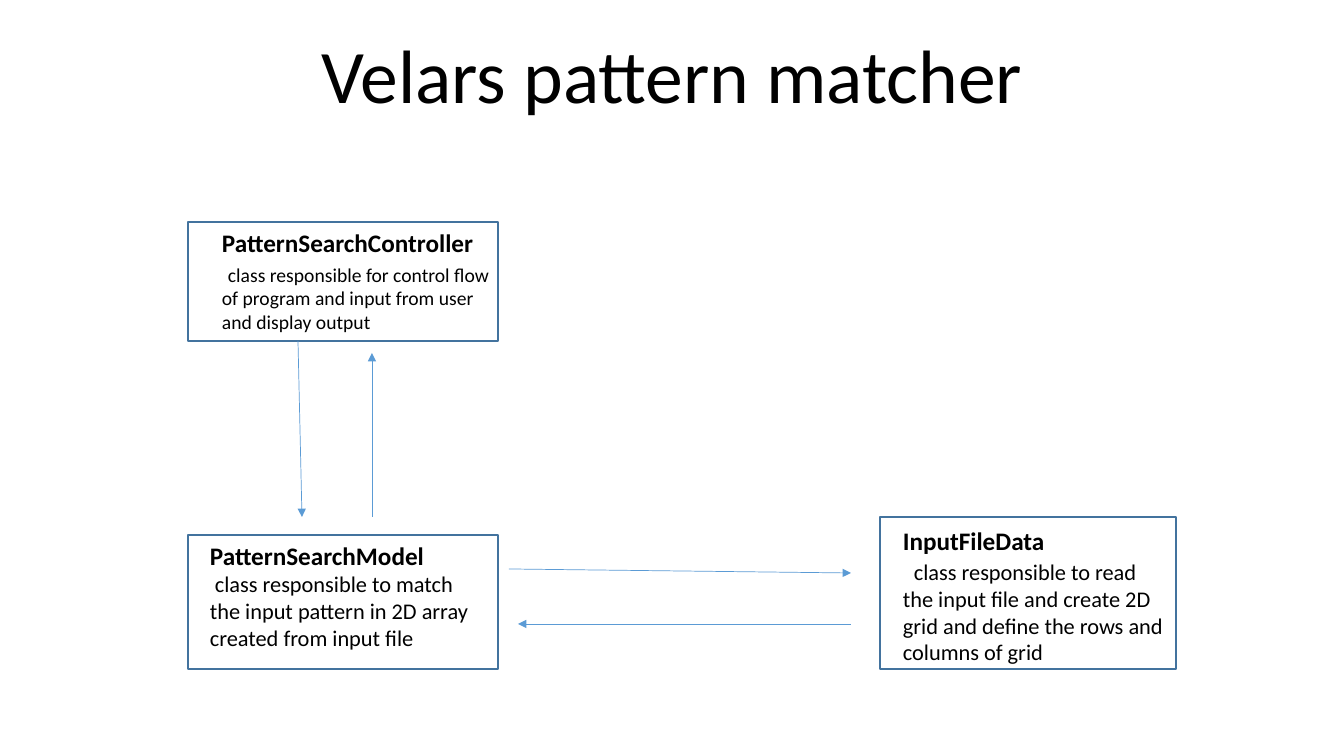
from dataclasses import dataclass

from lxml.etree import SubElement
from pptx import Presentation
from pptx.dml.color import RGBColor
from pptx.enum.shapes import MSO_CONNECTOR as Connector, MSO_SHAPE as Shape
from pptx.enum.text import MSO_ANCHOR as Anchor, MSO_AUTO_SIZE as AutoSize, PP_ALIGN as Align
from pptx.oxml.ns import qn
from pptx.util import Pt

EMU_PER_PIXEL = 914400 / 100.8


@dataclass(frozen=True)
class Theme:
    font: str = "Calibri"
    ink: RGBColor = RGBColor(0, 0, 0)
    frame: RGBColor = RGBColor(0x43, 0x73, 0x9E)
    arrow: RGBColor = RGBColor(0x5B, 0x9B, 0xD5)
    title_size: int = 54
    class_size: int = 18
    frame_width: float = 1
    arrow_width: float = 0.5


THEME = Theme()

# Class name, duty, duty size, first-line indent, label box, frame box
CLASSES = [
    ("PatternSearchController",
     "class responsible for control flow of program and input from user and display output",
     14, 6, (212, 222, 298, 119), (188, 222, 310, 119)),
    ("PatternSearchModel",
     "class responsible to match the input pattern in 2D array created from input file",
     16, 5, (200, 535, 287, 122), (188, 535, 310, 134)),
    ("InputFileData",
     "class responsible to read the input file and create 2D grid and define the rows "
     "and columns of grid",
     16, 11, (893, 520, 283, 152), (880, 517, 296, 152)),
]

# Start and end of each call between the classes
CALLS = [
    ((298, 341), (302, 517)),
    ((372, 517), (372, 353)),
    ((509, 569), (851, 573)),
    ((851, 624), (518, 624)),
]


def px(*lengths):
    return [round(length * EMU_PER_PIXEL) for length in lengths]


def style(paragraph, size, bold=False):
    font = paragraph.font
    font.name, font.size, font.bold = THEME.font, Pt(size), bold
    font.color.rgb = THEME.ink


def add_title(slide, text, box):
    title = slide.shapes.title
    title.left, title.top, title.width, title.height = px(*box)
    frame = title.text_frame
    frame.text = text
    frame.auto_size = AutoSize.NONE
    frame.vertical_anchor = Anchor.BOTTOM
    heading = frame.paragraphs[0]
    heading.alignment = Align.CENTER
    heading.line_spacing = 0.9
    style(heading, THEME.title_size)


def add_label(slide, name, duty, duty_size, indent, box):
    frame = slide.shapes.add_textbox(*px(*box)).text_frame
    frame.word_wrap = True
    heading = frame.paragraphs[0]
    heading.text = name
    style(heading, THEME.class_size, bold=True)
    details = frame.add_paragraph()
    details.text = duty
    style(details, duty_size)
    if duty_size < 16 or indent > 10:
        details.space_before = Pt(THEME.class_size - duty_size)
    details._p.get_or_add_pPr().set("indent", str(px(indent)[0]))


def add_frame(slide, box):
    outline = slide.shapes.add_shape(Shape.RECTANGLE, *px(*box))
    outline.shadow.inherit = False
    outline.fill.background()
    outline.line.color.rgb = THEME.frame
    outline.line.width = Pt(THEME.frame_width)


def add_arrow(slide, start, end):
    arrow = slide.shapes.add_connector(Connector.STRAIGHT, *px(*start, *end))
    arrow.line.color.rgb = THEME.arrow
    arrow.line.width = Pt(THEME.arrow_width)
    SubElement(arrow.line._get_or_add_ln(), qn("a:tailEnd"), type="triangle")
    SubElement(arrow._element.spPr, qn("a:effectLst"))


def main():
    deck = Presentation()
    deck.slide_width, deck.slide_height = px(1344, 756)
    slide = deck.slides.add_slide(deck.slide_layouts[0])

    # Title, without the unused subtitle
    subtitle = slide.placeholders[1]._element
    subtitle.getparent().remove(subtitle)
    add_title(slide, "Velars pattern matcher", (168, 28, 1008, 97))

    # Classes
    for name, duty, duty_size, indent, label_box, frame_box in CLASSES:
        add_label(slide, name, duty, duty_size, indent, label_box)
        add_frame(slide, frame_box)

    # Calls between classes
    for start, end in CALLS:
        add_arrow(slide, start, end)

    deck.save("out.pptx")


main()
